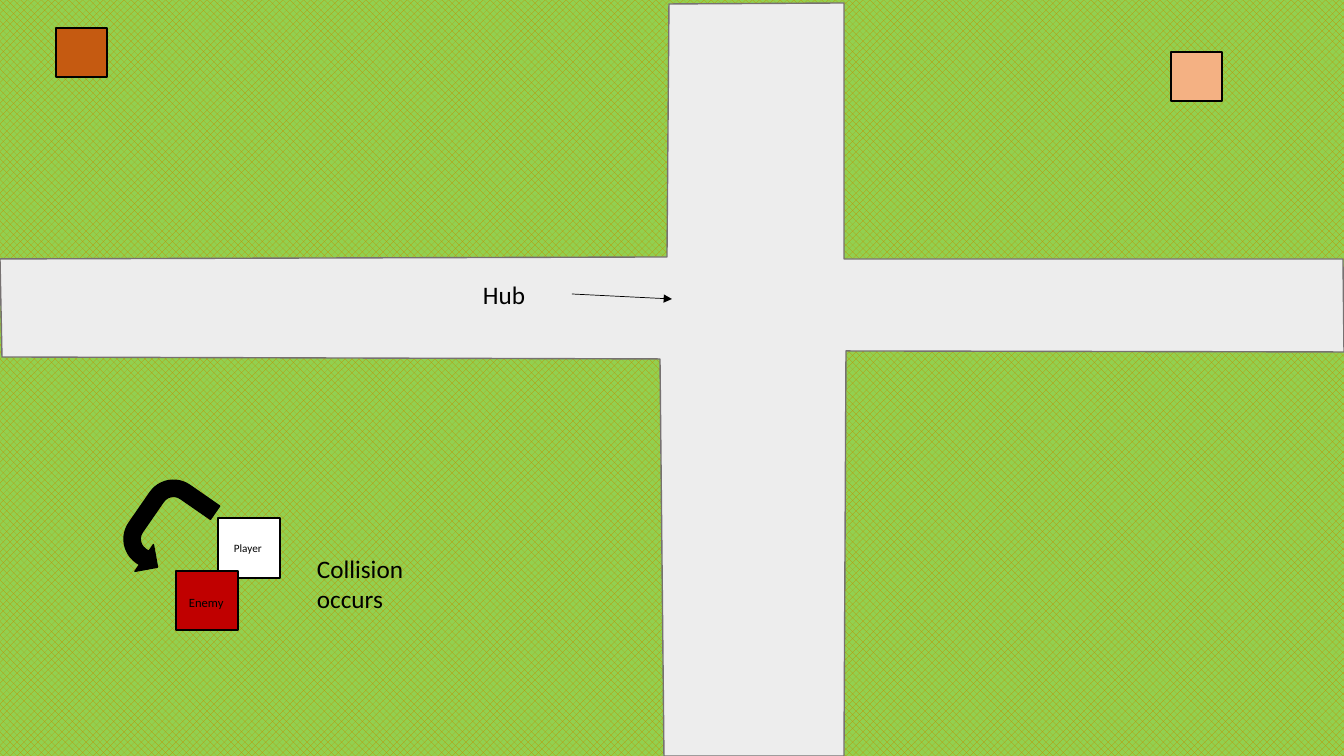
"""Draw a game map with a crossroads hub and a player-enemy collision."""
from dataclasses import dataclass
from typing import Optional

from lxml.etree import SubElement
from pptx import Presentation
from pptx.dml.color import RGBColor
from pptx.enum.dml import MSO_PATTERN
from pptx.enum.shapes import MSO_CONNECTOR, MSO_SHAPE
from pptx.enum.text import MSO_AUTO_SIZE
from pptx.oxml.ns import qn
from pptx.shapes.autoshape import Shape
from pptx.shapes.connector import Connector
from pptx.slide import Slide
from pptx.util import Emu, Pt

WIDTH, HEIGHT = 1344, 756
BLACK = "000000"
ROAD_OUTLINE = [
    (0, 259), (667, 257), (669, 4), (844, 3), (844, 259), (1343, 259),
    (1344, 352), (846, 351), (844, 756), (664, 756), (660, 359), (2, 357),
]


@dataclass(frozen=True)
class Box:
    left: int
    top: int
    width: int
    height: int


@dataclass(frozen=True)
class Label:
    text: str
    box: Box
    size: int


@dataclass(frozen=True)
class Block:
    box: Box
    color: str
    label: Optional[Label] = None


HUB = Label("Hub", Box(473, 274, 99, 40), 18)
COLLISION = Label("Collision occurs", Box(307, 548, 129, 72), 18)
BLOCKS = [
    Block(Box(56, 28, 51, 49), "C55A11"),
    Block(Box(1171, 52, 51, 49), "F4B183"),
    Block(Box(218, 518, 62, 60), "FFFFFF", Label("Player", Box(224, 536, 55, 24), 8)),
    Block(Box(176, 571, 62, 59), "C00000", Label("Enemy", Box(179, 590, 55, 25), 9)),
]
TURN = Box(113, 497, 102, 65)


def emu(px: int) -> Emu:
    """Turn px into EMU."""
    return Emu(px * 12192000 // WIDTH)


def frame(box: Box) -> tuple[Emu, Emu, Emu, Emu]:
    """Give a box as left, top, width and height in EMU."""
    return emu(box.left), emu(box.top), emu(box.width), emu(box.height)


def color_of(value: str) -> RGBColor:
    """Turn a hex string into a colour."""
    return RGBColor.from_string(value)


def paint(shape: Shape, fill: str, line: str = BLACK) -> None:
    """Set the fill and outline of a shape and remove its shadow."""
    shape.shadow.inherit = False
    shape.fill.solid()
    shape.fill.fore_color.rgb = color_of(fill)
    shape.line.color.rgb = color_of(line)
    shape.line.width = Pt(1)


def draw_ground(slide: Slide) -> None:
    """Fill the background with patterned grass."""
    grass = slide.background.fill
    grass.patterned()
    grass.pattern = MSO_PATTERN.PERCENT_50
    grass.fore_color.rgb = color_of("BF9000")
    grass.back_color.rgb = color_of("92D050")


def draw_road(slide: Slide) -> None:
    """Draw the crossing roads as one outline."""
    corners = [(emu(x), emu(y)) for x, y in ROAD_OUTLINE]
    builder = slide.shapes.build_freeform(*corners[0])
    builder.add_line_segments(corners[1:], close=True)
    paint(builder.convert_to_shape(), "EDEDED", "767171")


def draw_label(shapes, label: Label) -> Shape:
    """Write a label in a box that fits its text."""
    text_box = shapes.add_textbox(*frame(label.box))
    text_frame = text_box.text_frame
    text_frame.text = label.text
    text_frame.word_wrap = True
    text_frame.auto_size = MSO_AUTO_SIZE.SHAPE_TO_FIT_TEXT
    font = text_frame.paragraphs[0].runs[0].font
    font.name = "Calibri"
    font.size = Pt(label.size)
    font.color.rgb = color_of(BLACK)
    return text_box


def draw_block(slide: Slide, block: Block) -> None:
    """Draw a block, grouped with its label if it has one."""
    shapes = slide.shapes.add_group_shape().shapes if block.label else slide.shapes
    paint(shapes.add_shape(MSO_SHAPE.RECTANGLE, *frame(block.box)), block.color)
    if block.label:
        draw_label(shapes, block.label)


def draw_hub_arrow(slide: Slide, hub: Shape) -> Connector:
    """Point from the hub label to the crossroads."""
    arrow = slide.shapes.add_connector(
        MSO_CONNECTOR.STRAIGHT, emu(572), emu(294), emu(672), emu(299)
    )
    arrow.begin_connect(hub, 3)
    arrow.line.color.rgb = color_of(BLACK)
    arrow.line.width = Pt(0.5)
    SubElement(arrow.line._get_or_add_ln(), qn("a:tailEnd"), type="triangle")
    SubElement(arrow._element.spPr, qn("a:effectLst"))
    return arrow


def draw_turn(slide: Slide) -> None:
    """Draw the turning arrow from player to enemy."""
    turn = slide.shapes.add_shape(MSO_SHAPE.U_TURN_ARROW, *frame(TURN))
    paint(turn, BLACK)
    turn.rotation = 304.7
    turn._element.spPr.find(qn("a:xfrm")).set("flipH", "1")


def main() -> None:
    """Build the slide and save it."""
    presentation = Presentation()
    presentation.slide_width = emu(WIDTH)
    presentation.slide_height = emu(HEIGHT)
    slide = presentation.slides.add_slide(presentation.slide_layouts[6])
    draw_ground(slide)
    draw_road(slide)
    draw_hub_arrow(slide, draw_label(slide.shapes, HUB))
    for block in BLOCKS:
        draw_block(slide, block)
    draw_turn(slide)
    draw_label(slide.shapes, COLLISION)
    presentation.save("out.pptx")


if __name__ == "__main__":
    main()
